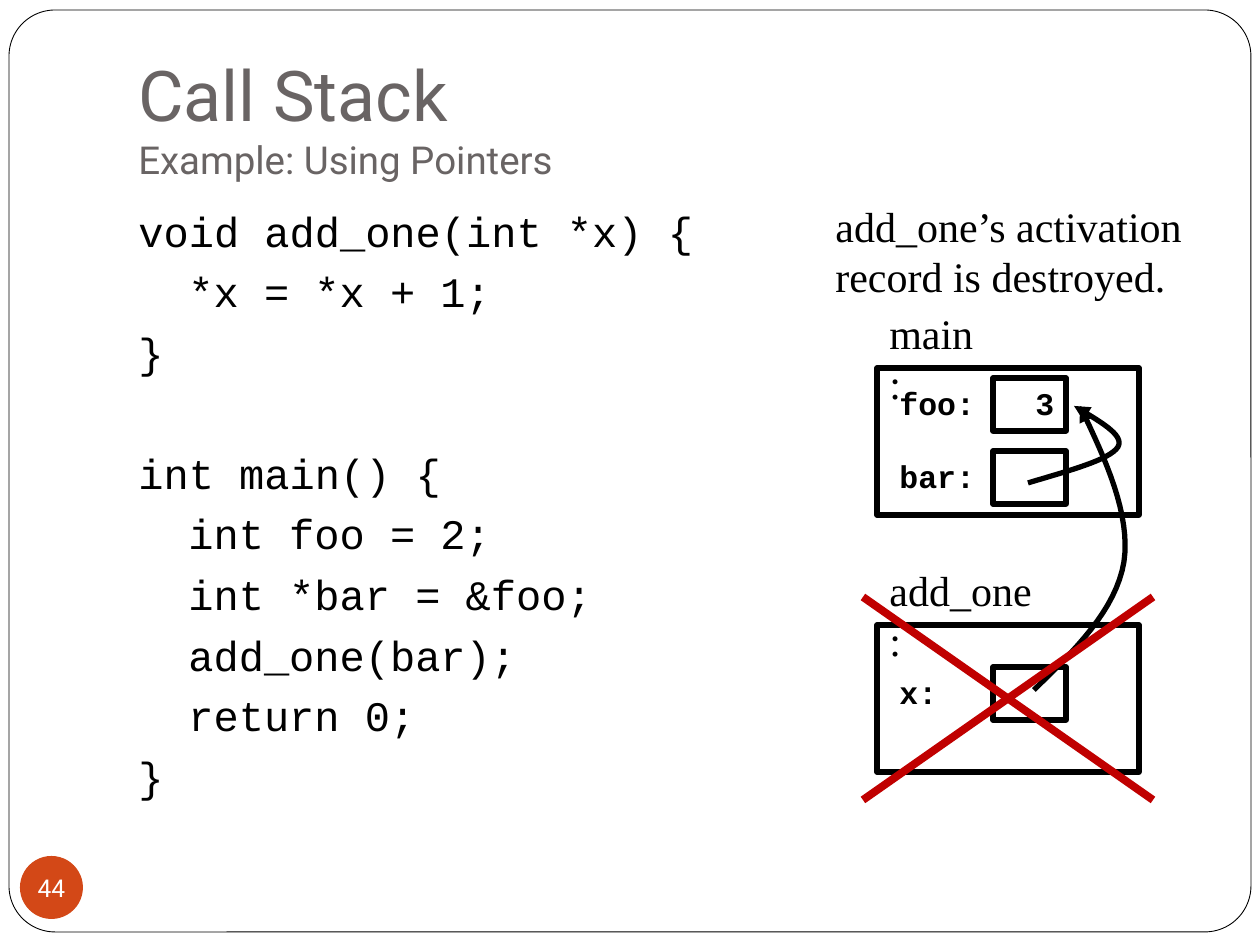
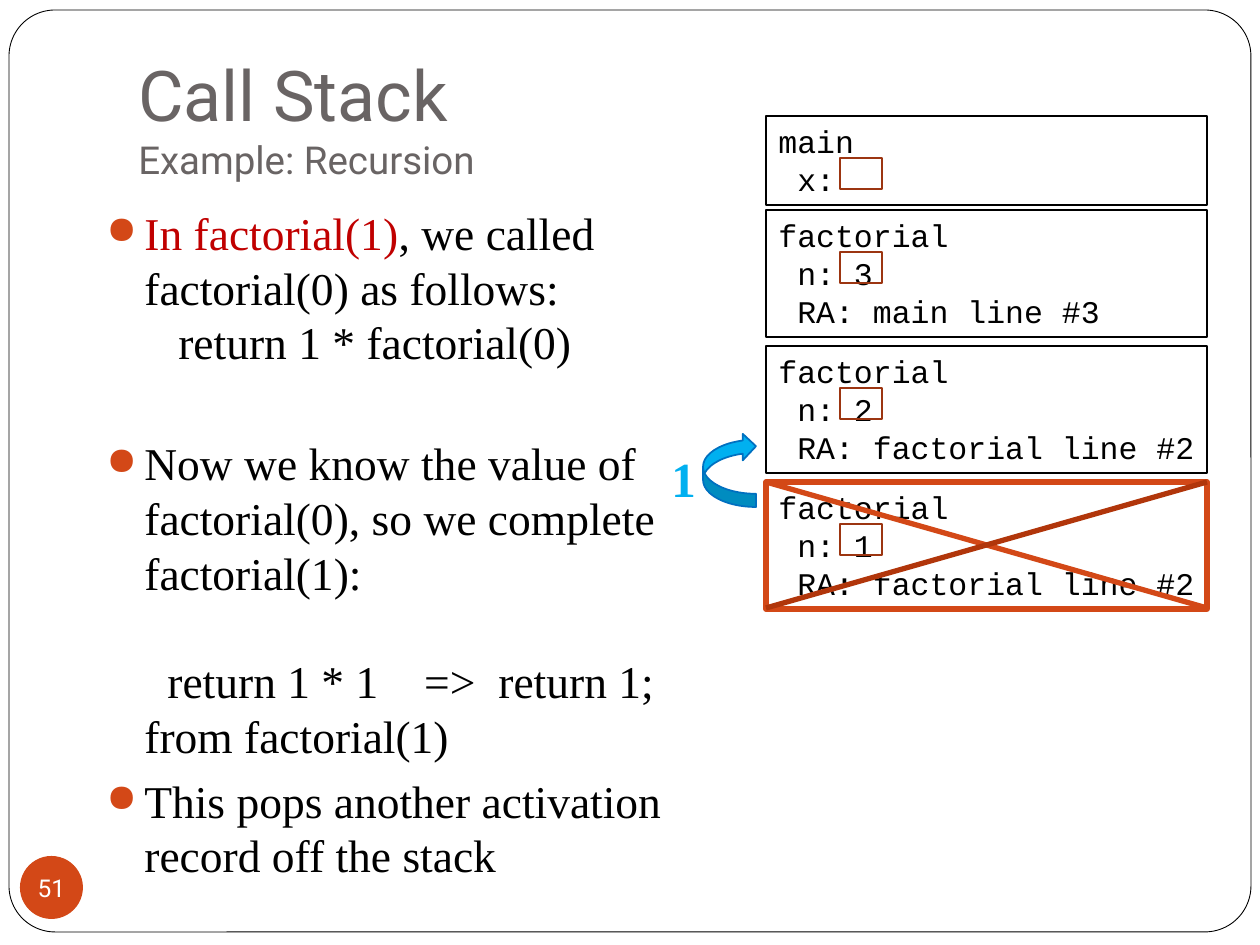
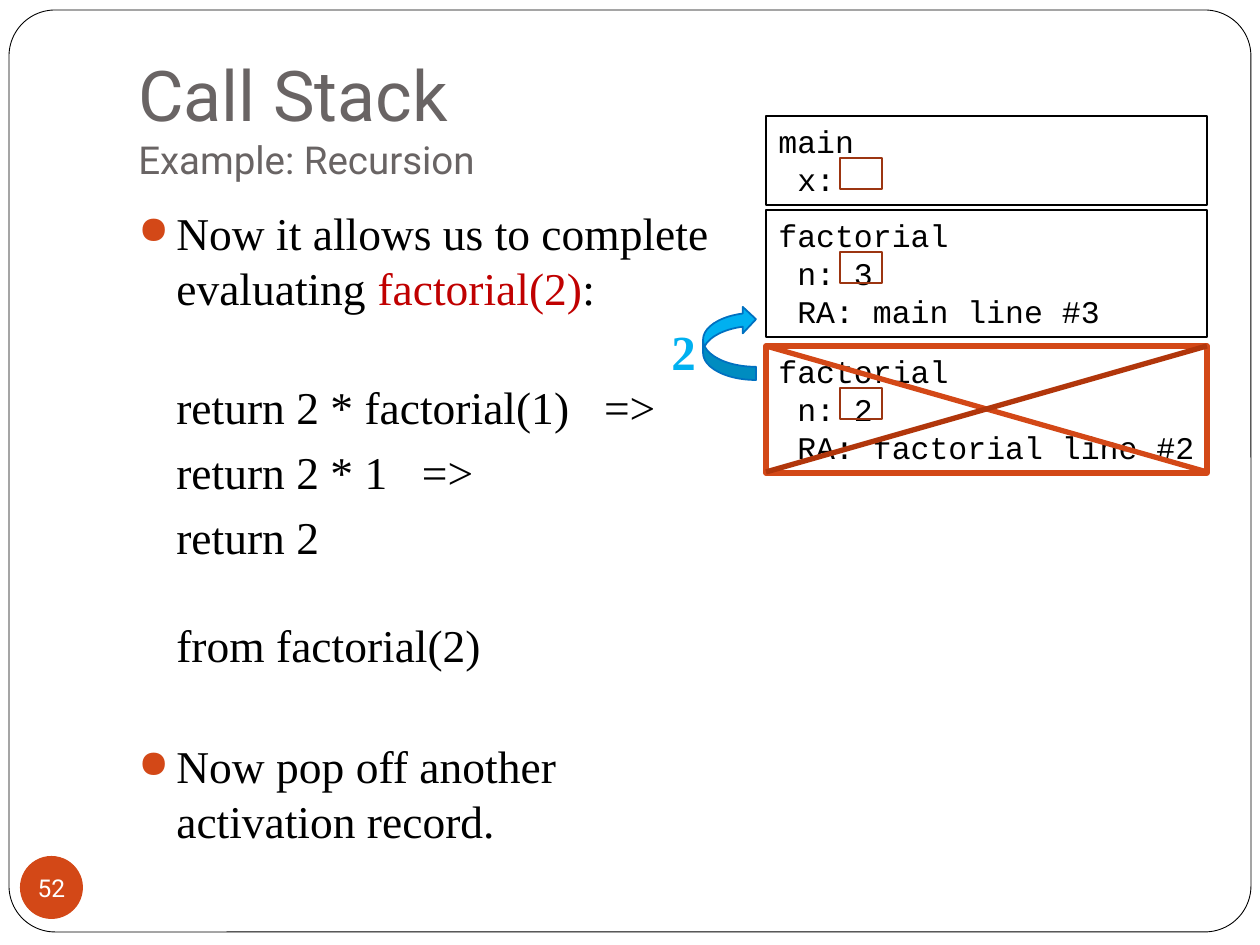
from dataclasses import dataclass

from lxml import etree
from pptx import Presentation
from pptx.dml.color import RGBColor
from pptx.enum.shapes import MSO_CONNECTOR, MSO_SHAPE
from pptx.enum.text import MSO_ANCHOR, PP_ALIGN
from pptx.oxml.ns import qn
from pptx.util import Pt

EMU_PER_PX = 914400 / 126
BLANK_LAYOUT = 6
CURVE_STEPS = 16
RECTANGLE = MSO_SHAPE.RECTANGLE
ROUNDED = MSO_SHAPE.ROUNDED_RECTANGLE
ELLIPSE = MSO_SHAPE.OVAL
CURVED_ARROW = MSO_SHAPE.CURVED_LEFT_ARROW
STRAIGHT = MSO_CONNECTOR.STRAIGHT
TOP, MIDDLE, BOTTOM = MSO_ANCHOR.TOP, MSO_ANCHOR.MIDDLE, MSO_ANCHOR.BOTTOM
LEFT, CENTER = PP_ALIGN.LEFT, PP_ALIGN.CENTER

STACK_LEFT, STACK_WIDTH = 766, 441
MAIN_TOP, MAIN_HEIGHT = 116, 89
CALL_TOP, CALL_HEIGHT, CALL_PITCH = 210, 127, 136
RECORD_LEFT, RECORD_WIDTH, RECORD_HEIGHT = 877, 262, 147
CELL_LEFT, CELL_WIDTH, CELL_HEIGHT = 993, 73, 53
INDENT = 38


@dataclass(frozen=True)
class Theme:
    black: str = "000000"
    white: str = "FFFFFF"
    title: str = "696464"
    accent: str = "D34817"
    slot: str = "9C3511"
    strike: str = "B1360B"
    red: str = "C00000"
    blue: str = "00B0F0"
    blue_edge: str = "0070C0"
    heading_font: str = "Roboto"
    body_font: str = "Times New Roman"
    code_font: str = "Courier New"
    title_size: int = 40
    subtitle_size: int = 22
    body_size: int = 26
    code_size: int = 24
    label_size: int = 18
    value_size: int = 28
    number_size: int = 14
    before: float = 5.8


THEME = Theme()


@dataclass
class Run:
    text: str
    color: str = THEME.black
    gap: float = 0


@dataclass
class Line:
    runs: list
    before: float = THEME.before
    left: int = INDENT
    bullet: bool = False


def px(value):
    return round(value * EMU_PER_PX)


def box(*lengths):
    return [px(length) for length in lengths]


def rgb(color):
    return RGBColor.from_string(color)


def style(paragraph, font, size, color=THEME.black, bold=False, align=LEFT):
    paragraph.alignment = align
    paragraph.font.name = font
    paragraph.font.size = Pt(size)
    paragraph.font.bold = bold
    paragraph.font.color.rgb = rgb(color)


def write(frame, texts, font, size, **options):
    frame.word_wrap = True
    for index, text in enumerate(texts):
        paragraph = frame.paragraphs[0] if index == 0 else frame.add_paragraph()
        paragraph.add_run().text = text
        style(paragraph, font, size, **options)


def add_text(slide, place, texts, font, size, **options):
    frame = slide.shapes.add_textbox(*box(*place)).text_frame
    write(frame, texts, font, size, **options)
    return frame


def add_outline(slide, kind, place, line=None, width=1, fill=None):
    shape = slide.shapes.add_shape(kind, *box(*place))
    shape.shadow.inherit = False
    if fill:
        shape.fill.solid()
        shape.fill.fore_color.rgb = rgb(fill)
    else:
        shape.fill.background()
    if line:
        shape.line.color.rgb = rgb(line)
        shape.line.width = Pt(width)
    else:
        shape.line.fill.background()
    return shape


def add_line(slide, start, end, color, width):
    connector = slide.shapes.add_connector(STRAIGHT, *box(*start, *end))
    connector.line.color.rgb = rgb(color)
    connector.line.width = Pt(width)
    etree.SubElement(connector._element.spPr, qn("a:effectLst"))


def add_cross(slide, left, top, width, height, falling, rising, weight):
    right, bottom = left + width, top + height
    add_line(slide, (left, top), (right, bottom), falling, weight)
    add_line(slide, (right, top), (left, bottom), rising, weight)


def bezier(points, t):
    weights = ((1 - t) ** 3, 3 * t * (1 - t) ** 2, 3 * t * t * (1 - t), t ** 3)
    return tuple(px(sum(w * point[axis] for w, point in zip(weights, points)))
                 for axis in (0, 1))


def add_pointer(slide, points):
    curve = [bezier(points[first:first + 4], step / CURVE_STEPS)
             for first in range(0, len(points) - 1, 3)
             for step in range(1, CURVE_STEPS + 1)]
    builder = slide.shapes.build_freeform(*box(*points[0]))
    builder.add_line_segments(curve, close=False)
    shape = builder.convert_to_shape()
    shape.shadow.inherit = False
    shape.fill.background()
    shape.line.color.rgb = rgb(THEME.black)
    shape.line.width = Pt(3)
    etree.SubElement(shape.line._get_or_add_ln(), qn("a:tailEnd"), type="triangle")


def add_bullet(properties):
    color = etree.SubElement(properties, qn("a:buClr"))
    etree.SubElement(color, qn("a:srgbClr"), val=THEME.accent)
    etree.SubElement(properties, qn("a:buSzPct"), val="85000")
    etree.SubElement(properties, qn("a:buChar"), char="●")


def add_body(slide, place, lines, font, size):
    frame = slide.shapes.add_textbox(*box(*place)).text_frame
    frame.word_wrap = True
    for index, line in enumerate(lines):
        paragraph = frame.paragraphs[0] if index == 0 else frame.add_paragraph()
        properties = paragraph._p.get_or_add_pPr()
        properties.set("marL", str(px(line.left)))
        properties.set("indent", str(px(-INDENT if line.bullet else 0)))
        if line.bullet:
            add_bullet(properties)
        paragraph.space_before = Pt(line.before)
        style(paragraph, font, size)
        for part in line.runs:
            run = paragraph.add_run()
            run.text = part.text
            if part.color != THEME.black:
                run.font.color.rgb = rgb(part.color)
            if part.gap:
                run._r.get_or_add_rPr().set("spc", str(round(part.gap * 100)))


def start_slide(presentation, subtitle, number):
    slide = presentation.slides.add_slide(presentation.slide_layouts[BLANK_LAYOUT])
    frame = add_outline(slide, ROUNDED, (9, 10, 1242, 922), THEME.black, 0.5, THEME.white)
    frame.adjustments[0] = 0.05
    title = add_text(slide, (126, 38, 1071, 157), ["Call Stack", subtitle],
                     THEME.heading_font, THEME.title_size, color=THEME.title)
    title.paragraphs[1].font.size = Pt(THEME.subtitle_size)
    title.vertical_anchor = BOTTOM
    title.margin_bottom = px(13)
    badge = add_outline(slide, ELLIPSE, (20, 856, 63, 63), fill=THEME.accent).text_frame
    badge.margin_left = badge.margin_right = badge.margin_top = badge.margin_bottom = 0
    badge.vertical_anchor = MIDDLE
    write(badge, [str(number)], THEME.heading_font, THEME.number_size,
          color=THEME.white, align=CENTER)
    return slide


def add_record(slide, top, caption, caption_width, variables):
    add_outline(slide, RECTANGLE, (RECORD_LEFT, top, RECORD_WIDTH, RECORD_HEIGHT),
                THEME.black, 3)
    add_text(slide, (877, top - 67, caption_width, 63), [caption],
             THEME.body_font, THEME.code_size)
    for name, value, offset in variables:
        cell_top = top + offset
        add_outline(slide, RECTANGLE, (CELL_LEFT, cell_top, CELL_WIDTH, CELL_HEIGHT),
                    THEME.black, 3)
        for text, left, width in ((name, 887, 110), (value, 1023, 44)):
            if text:
                add_text(slide, (left, cell_top, width, 50), [text],
                         THEME.code_font, THEME.label_size, bold=True)


def add_frame(slide, top, height, texts, popped=False):
    color, width = (THEME.accent, 3) if popped else (THEME.black, 0.75)
    shape = add_outline(slide, RECTANGLE, (STACK_LEFT, top, STACK_WIDTH, height), color, width)
    shape.text_frame.vertical_anchor = TOP
    write(shape.text_frame, texts, THEME.code_font, THEME.label_size)
    add_outline(slide, RECTANGLE, (840, top + 42, 42, 31), THEME.slot, 1)
    if popped:
        add_cross(slide, STACK_LEFT, top, STACK_WIDTH, height - 1,
                  THEME.accent, THEME.strike, 3)


def add_stack(slide, depth):
    add_frame(slide, MAIN_TOP, MAIN_HEIGHT, ["main", " x:"])
    for index in range(depth):
        caller = "factorial line #2" if index else "main line #3"
        add_frame(slide, CALL_TOP + index * CALL_PITCH, CALL_HEIGHT,
                  ["factorial", f" n: {3 - index}", f" RA: {caller}"],
                  popped=index == depth - 1)


def add_return(slide, top, value):
    arrow = add_outline(slide, CURVED_ARROW, (703, top, 53, 74),
                        THEME.blue_edge, 1, THEME.blue)
    arrow.rotation = 180
    add_text(slide, (659, top + 9, 48, 72), [value], THEME.body_font,
             THEME.value_size, color=THEME.blue, bold=True)


def build_pointers(presentation):
    slide = start_slide(presentation, "Example: Using Pointers", 44)
    code = [("void add_one(int *x) {", 0), ("*x = *x + 1;", 50), ("}", 0),
            ("int main() {", 0), ("int foo = 2;", 50), ("int *bar = &foo;", 50),
            ("add_one(bar);", 50), ("return 0;", 50), ("}", 0)]
    lines = [Line([Run(text)], left=left) for text, left in code]
    lines[3].before = 40.4
    add_body(slide, (126, 199, 700, 693), lines, THEME.code_font, THEME.code_size)
    add_record(slide, 368, "main:", 113, [("foo:", "3", 10), ("bar:", "", 83)])
    add_record(slide, 625, "add_one:", 169, [("x:", "", 42)])
    add_pointer(slide, [(1028, 483), (1068, 471), (1110, 460), (1118, 447),
                        (1125, 435), (1099, 421), (1074, 406)])
    add_pointer(slide, [(1034, 690), (1075, 650), (1116, 610), (1124, 562),
                        (1131, 515), (1106, 460), (1080, 406)])
    add_text(slide, (823, 194, 383, 115), ["add_one’s activation record is destroyed."],
             THEME.body_font, THEME.code_size)
    add_cross(slide, 863, 597, 290, 203, THEME.red, THEME.red, 4.5)


def build_first_return(presentation):
    slide = start_slide(presentation, "Example: Recursion", 51)
    lines = [
        Line([Run("In factorial(1)", THEME.red),
              Run(", we called factorial(0) as follows:")], bullet=True),
        Line([Run("return 1 * factorial(0)")], before=0, left=INDENT + 34),
        Line([Run("Now we know the value of factorial(0), so we complete factorial(1):")],
             before=38, bullet=True),
        Line([Run("return 1 * 1"), Run(" ", gap=19.5), Run("=>"), Run(" ", gap=6.5),
              Run("return 1;")], before=31, left=INDENT + 23),
        Line([Run("from factorial(1)")], before=0),
        Line([Run("This pops another activation record off the stack")], bullet=True),
    ]
    add_body(slide, (94, 199, 620, 724), lines, THEME.body_font, THEME.body_size)
    add_stack(slide, 3)
    add_return(slide, 433, "1")


def build_second_return(presentation):
    slide = start_slide(presentation, "Example: Recursion", 52)
    lines = [
        Line([Run("Now it allows us to complete evaluating "),
              Run("factorial(2)", THEME.red), Run(":")], bullet=True),
        Line([Run("return 2 * factorial(1)"), Run(" ", gap=13), Run("=>")], before=37),
        Line([Run("return 2 * 1"), Run(" ", gap=13), Run("=>")]),
        Line([Run("return 2")]),
        Line([Run("from factorial(2)")], before=31),
        Line([Run("Now pop off another activation record.")], before=38, bullet=True),
    ]
    add_body(slide, (126, 199, 620, 724), lines, THEME.body_font, THEME.body_size)
    add_stack(slide, 2)
    add_return(slide, 306, "2")


def main():
    presentation = Presentation()
    presentation.slide_width, presentation.slide_height = box(1260, 945)
    build_pointers(presentation)
    build_first_return(presentation)
    build_second_return(presentation)
    presentation.save("out.pptx")


if __name__ == "__main__":
    main()
